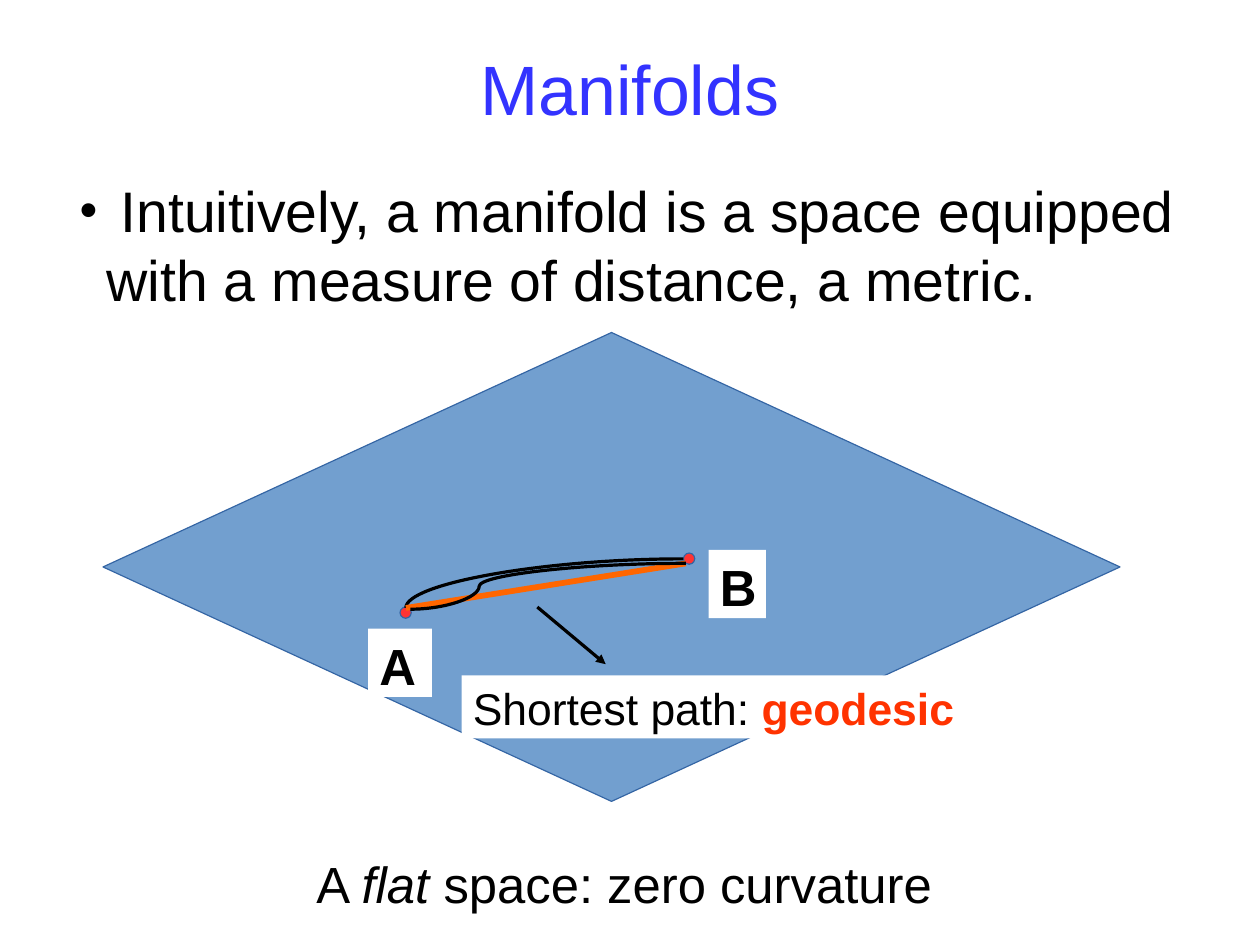
from lxml import etree
from pptx import Presentation
from pptx.dml.color import RGBColor
from pptx.enum.shapes import MSO_CONNECTOR, MSO_SHAPE
from pptx.enum.text import MSO_ANCHOR, PP_ALIGN
from pptx.oxml.ns import qn
from pptx.util import Cm, Pt

STRAIGHT, CURVE = MSO_CONNECTOR.STRAIGHT, MSO_CONNECTOR.CURVE
DIAMOND, OVAL, RECTANGLE = MSO_SHAPE.DIAMOND, MSO_SHAPE.OVAL, MSO_SHAPE.RECTANGLE
BLACK = RGBColor(0x00, 0x00, 0x00)
WHITE = RGBColor(0xFF, 0xFF, 0xFF)
TITLE_BLUE = RGBColor(0x33, 0x33, 0xFF)
PLANE_BLUE = RGBColor(0x72, 0x9F, 0xCF)
EDGE_BLUE = RGBColor(0x34, 0x65, 0xA4)
POINT_RED = RGBColor(0xFF, 0x33, 0x33)
PATH_ORANGE = RGBColor(0xFF, 0x66, 0x00)
TERM_RED = RGBColor(0xFF, 0x33, 0x00)

prs = Presentation()
prs.slide_width, prs.slide_height = Cm(28), Cm(21)
slide = prs.slides.add_slide(prs.slide_layouts[5])
shapes = slide.shapes


def write(shape, size, *texts):
    """Fill a shape with one left-aligned paragraph and return its runs."""
    frame = shape.text_frame
    frame.word_wrap = True
    frame.vertical_anchor = MSO_ANCHOR.TOP
    paragraph = frame.paragraphs[0]
    paragraph.alignment = PP_ALIGN.LEFT
    paragraph.font.name = "Arial"
    paragraph.font.size = Pt(size)
    paragraph.font.color.rgb = BLACK
    runs = []
    for text in texts:
        run = paragraph.add_run()
        run.text = text
        runs.append(run)
    return runs


def connect(kind, start, end, color=BLACK, width=0):
    """Draw a connector between two points given in centimetres."""
    line = shapes.add_connector(kind, *map(Cm, start + end))
    line.line.color.rgb = color
    line.line.width = Pt(width)
    etree.SubElement(line._element.spPr, qn("a:effectLst"))
    return line


# Title
title = shapes.title
title.left, title.top, title.width, title.height = Cm(1.4), Cm(0.84), Cm(25.2), Cm(2.21)
title_frame = title.text_frame
title_frame.text = "Manifolds"
title_frame.vertical_anchor = MSO_ANCHOR.MIDDLE
title_frame.margin_left = title_frame.margin_right = 0
title_frame.margin_top = title_frame.margin_bottom = 0
heading = title_frame.paragraphs[0]
heading.alignment = PP_ALIGN.CENTER
heading.font.name = "Arial"
heading.font.size = Pt(44)
heading.font.color.rgb = TITLE_BLUE

# Definition, with a hanging bullet
definition = shapes.add_textbox(Cm(1.52), Cm(3.78), Cm(25.4), Cm(3.1))
bullet_props = definition.text_frame.paragraphs[0]._p.get_or_add_pPr()
bullet_props.set("marL", str(Cm(0.6)))
bullet_props.set("indent", str(-Cm(0.6)))
etree.SubElement(bullet_props, qn("a:buFont"), typeface="Arial")
etree.SubElement(bullet_props, qn("a:buChar"), char="•")
gap, sentence = write(
    definition, 36, " ",
    "Intuitively, a manifold is a space equipped with a measure of distance, a metric.")
gap.font.size = Pt(32)

# Caption
caption = shapes.add_textbox(Cm(6.78), Cm(18.82), Cm(16.08), Cm(1.52))
_, flat, _ = write(caption, 32, "A ", "flat", " space: zero curvature")
flat.font.italic = True

# Flat space and the two points on it
for kind, left, top, width, height, fill in [
    (DIAMOND, 2.29, 7.39, 22.6, 10.42, PLANE_BLUE),
    (OVAL, 8.89, 13.49, 0.25, 0.25, POINT_RED),
    (OVAL, 15.19, 12.29, 0.25, 0.25, POINT_RED),
]:
    figure = shapes.add_shape(kind, Cm(left), Cm(top), Cm(width), Cm(height))
    figure.shadow.inherit = False
    figure.fill.solid()
    figure.fill.fore_color.rgb = fill
    figure.line.color.rgb = EDGE_BLUE
    figure.line.width = 0

# Longer path, a quarter curve from B to A
upper_path = connect(CURVE, (15.19, 12.42), (9.02, 13.51))
upper_path._element.spPr.prstGeom.set("prst", "curvedConnector2")

# Geodesic and its pointer
connect(STRAIGHT, (9.02, 13.51), (15.24, 12.52), PATH_ORANGE, 3.6)
pointer = connect(STRAIGHT, (11.94, 13.49), (13.46, 14.76))
etree.SubElement(pointer.line._get_or_add_ln(), qn("a:tailEnd"), type="triangle")

# Longer path, an S curve bending at a quarter of its width
s_path = connect(CURVE, (9.12, 13.54), (15.24, 12.52))
bends = s_path._element.spPr.prstGeom.get_or_add_avLst()
etree.SubElement(bends, qn("a:gd"), name="adj1", fmla="val 25000")

# Labels
for left, top, width, height, size, texts in [
    (8.18, 13.97, 1.42, 1.52, 32, ["A"]),
    (15.75, 12.22, 1.27, 1.52, 32, ["B"]),
    (10.26, 15.01, 11.58, 1.4, 28, ["Shortest path: ", "geodesic"]),
]:
    label = shapes.add_shape(RECTANGLE, Cm(left), Cm(top), Cm(width), Cm(height))
    label.shadow.inherit = False
    label.fill.solid()
    label.fill.fore_color.rgb = WHITE
    label.line.fill.background()
    key_run = write(label, size, *texts)[-1]
    key_run.font.bold = True
key_run.font.color.rgb = TERM_RED

prs.save("out.pptx")
